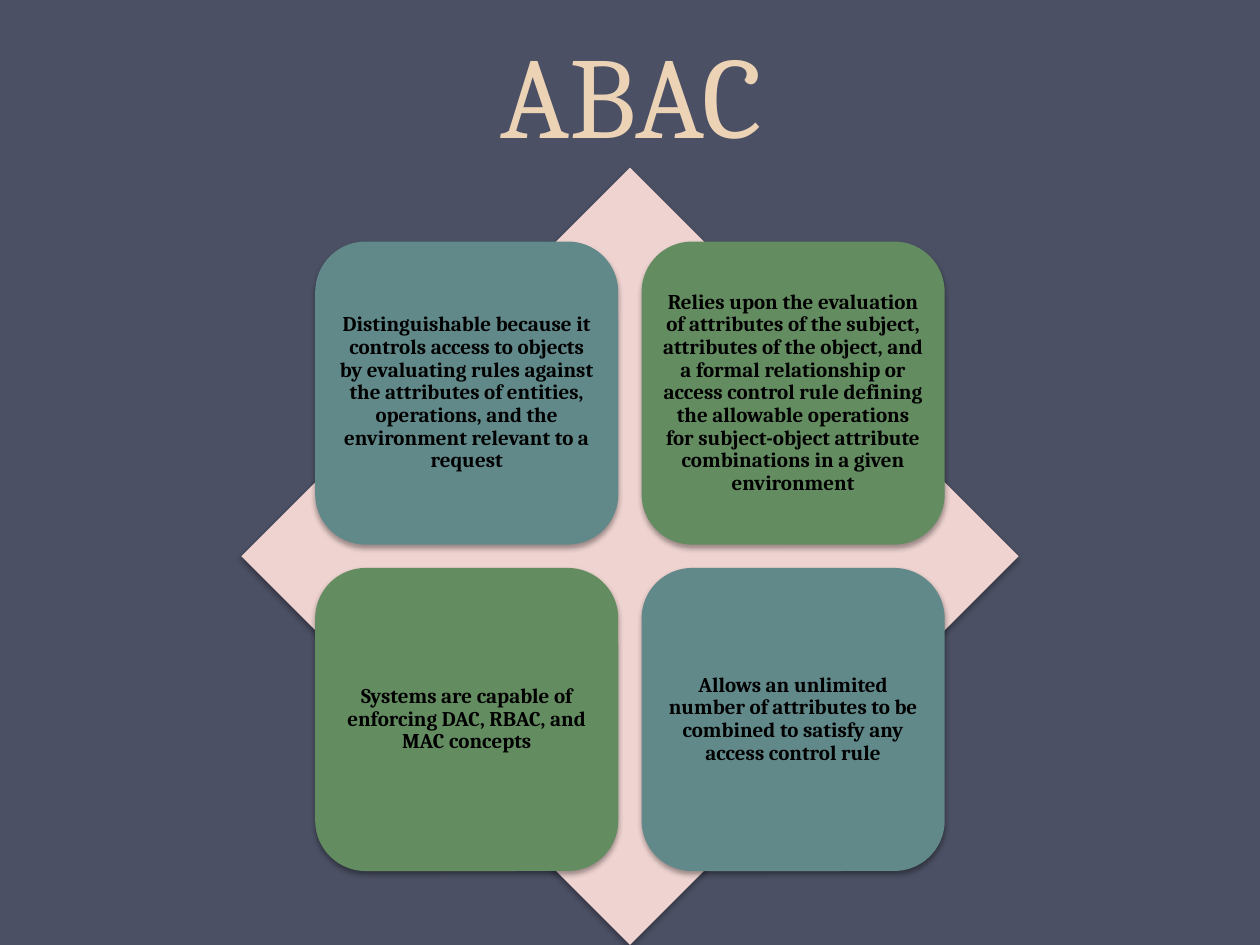
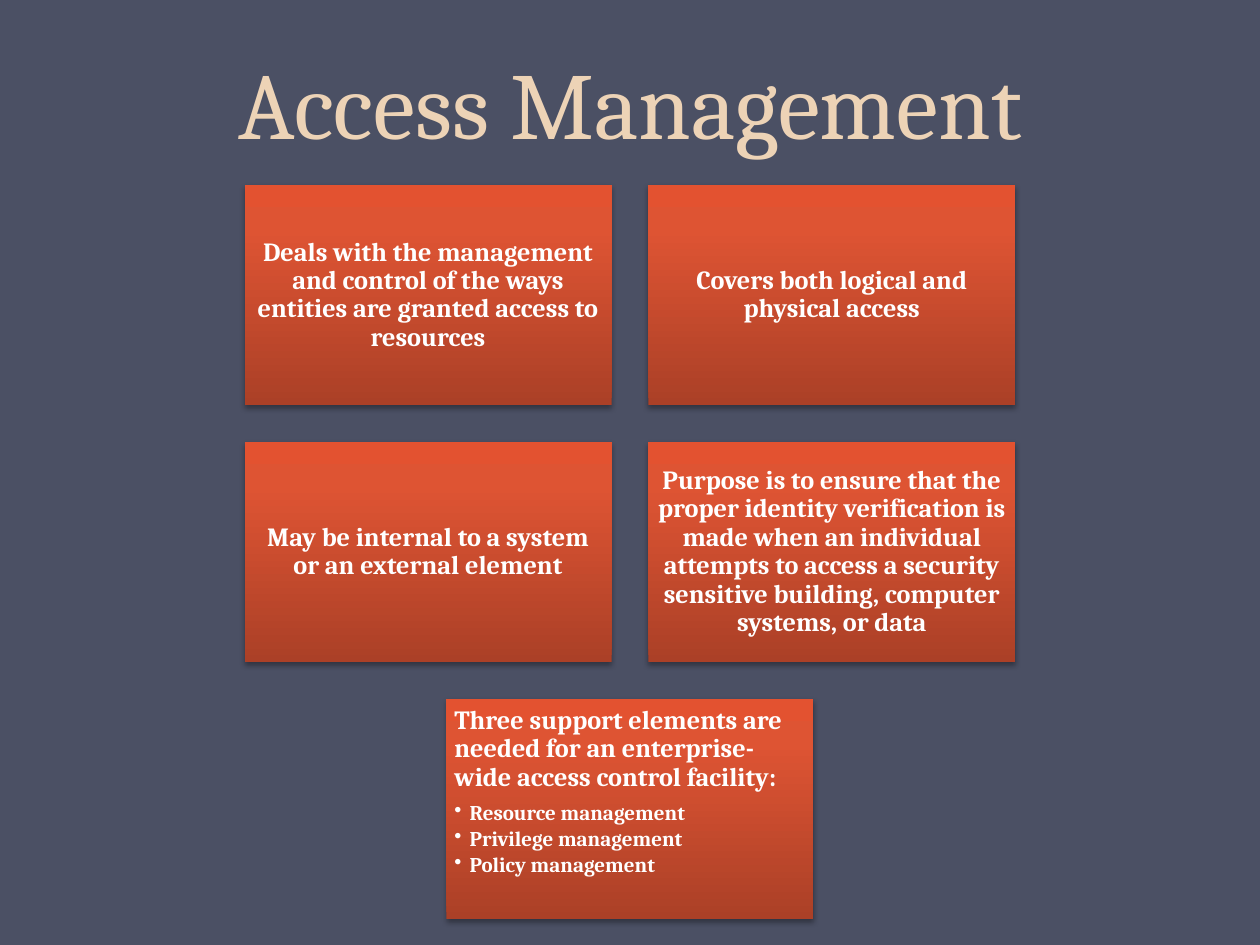
from copy import deepcopy

from lxml.etree import SubElement
from pptx import Presentation
from pptx.dml.color import RGBColor
from pptx.enum.shapes import MSO_SHAPE
from pptx.enum.text import MSO_ANCHOR, MSO_AUTO_SIZE, PP_ALIGN
from pptx.oxml.ns import qn
from pptx.util import Cm, Pt

FONT = "Cambria"
BACKGROUND, TITLE_COLOUR = "4B5064", "EDD3B6"
TEAL, GREEN, PINK = "61898A", "648C61", "EED3D0"
BLACK, WHITE = "000000", "FFFFFF"
RED_STOPS = [(0, "AB4027"), (0.8, "DE5433"), (1, "E35230")]
CENTRE = 12.7

ABAC_ROWS = [
    [("Distinguishable because it controls access to objects by evaluating rules against "
      "the attributes of entities, operations, and the environment relevant to a request", TEAL),
     ("Relies upon the evaluation of attributes of the subject, attributes of the object, and "
      "a formal relationship or access control rule defining the allowable operations for "
      "subject-object attribute combinations in a given environment", GREEN)],
    [("Systems are capable of enforcing DAC, RBAC, and MAC concepts", GREEN),
     ("Allows an unlimited number of attributes to be combined to satisfy any access "
      "control rule", TEAL)],
]

# Each box: heading, bullets
MANAGEMENT_ROWS = [
    [("Deals with the management and control of the ways entities are granted access to "
      "resources", []),
     ("Covers both logical and physical access", [])],
    [("May be internal to a system or an external element", []),
     ("Purpose is to ensure that the proper identity verification is made when an individual "
      "attempts to access a security sensitive building, computer systems, or data", [])],
    [("Three support elements are needed for an enterprise-wide access control facility:",
      ["Resource management", "Privilege management", "Policy management"])],
]


def rgb(colour):
    return RGBColor.from_string(colour)


def style_text(p, size, colour, bold=True):
    for r in p.runs:
        r.font.name, r.font.size, r.font.bold = FONT, Pt(size), bold
        r.font.color.rgb = rgb(colour)


def add_titled_slide(prs, title, size, left, top, height):
    s = prs.slides.add_slide(prs.slide_layouts[5])
    sp = s.shapes.title
    sp.left, sp.top, sp.width, sp.height = Cm(left), Cm(top), Cm(22.86), Cm(height)
    tf = sp.text_frame
    tf.text = title
    tf.auto_size = MSO_AUTO_SIZE.NONE
    tf.vertical_anchor = MSO_ANCHOR.BOTTOM
    p = tf.paragraphs[0]
    p.alignment, p.line_spacing = PP_ALIGN.CENTER, Pt(58)
    style_text(p, size, TITLE_COLOUR, bold=False)
    return s


def add_shadow(sp):
    sp.shadow.inherit = False
    effects = sp._element.spPr.find(qn("a:effectLst"))
    shadow = SubElement(effects, qn("a:outerShdw"), blurRad=str(Pt(3.1)), dist=str(Pt(1.8)),
                        dir="5400000", algn="ctr", rotWithShape="0")
    colour = SubElement(shadow, qn("a:srgbClr"), val=BLACK)
    SubElement(colour, qn("a:alpha"), val="35000")


def fill_gradient(sp, stops):
    sp.fill.gradient()
    sp.fill.gradient_angle = 90
    stop_list = sp._element.spPr.find(qn("a:gradFill")).find(qn("a:gsLst"))
    while len(stop_list) < len(stops):
        stop_list.append(deepcopy(stop_list[0]))
    for stop, (position, colour) in zip(sp.fill.gradient_stops, stops):
        stop.position = position
        stop.color.rgb = rgb(colour)


def add_box(s, preset, left, top, width, height, fill):
    """Add a shadowed shape; fill is a colour or a list of gradient stops."""
    sp = s.shapes.add_shape(preset, Cm(left), Cm(top), Cm(width), Cm(height))
    sp.line.fill.background()
    if isinstance(fill, str):
        sp.fill.solid()
        sp.fill.fore_color.rgb = rgb(fill)
    else:
        fill_gradient(sp, fill)
    add_shadow(sp)
    return sp


def write_box(sp, text, size, colour, margin):
    tf = sp.text_frame
    tf.text = text
    tf.word_wrap = True
    tf.vertical_anchor = MSO_ANCHOR.MIDDLE
    tf.margin_left = tf.margin_top = tf.margin_right = tf.margin_bottom = Cm(margin)
    p = tf.paragraphs[0]
    p.alignment, p.line_spacing = PP_ALIGN.CENTER, 0.9
    style_text(p, size, colour)


def add_bullets(sp, bullets, size, colour):
    """Turn a box into a left-aligned heading with bullets below it."""
    tf = sp.text_frame
    tf.vertical_anchor = MSO_ANCHOR.TOP
    heading = tf.paragraphs[0]
    heading.alignment, heading.space_after = PP_ALIGN.LEFT, Pt(6)
    for bullet in bullets:
        p = tf.add_paragraph()
        p.text = bullet
        p.level, p.alignment = 1, PP_ALIGN.LEFT
        p.line_spacing, p.space_after = 0.9, Pt(1.8)
        properties = p._p.get_or_add_pPr()
        properties.set("marL", str(Cm(0.31)))
        properties.set("indent", str(-Cm(0.31)))
        SubElement(properties, qn("a:buChar"), char="•")
        style_text(p, size, colour)


def place_rows(rows, top, width, height, gap):
    """Yield each item with its left and top, every row centred on the slide."""
    for i, row in enumerate(rows):
        row_width = len(row) * (width + gap) - gap
        for j, item in enumerate(row):
            yield item, CENTRE - row_width / 2 + j * (width + gap), top + i * (height + gap)


def build_abac(prs):
    s = add_titled_slide(prs, "ABAC", 66, 1.3, -0.48, 3.86)
    diamond, tile = 15.67, 6.11
    add_box(s, MSO_SHAPE.DIAMOND, CENTRE - diamond / 2, 3.38, diamond, diamond, PINK)
    for (text, fill), left, top in place_rows(ABAC_ROWS, 4.87, tile, tile, 0.47):
        sp = add_box(s, MSO_SHAPE.ROUNDED_RECTANGLE, left, top, tile, tile, fill)
        write_box(sp, text, 12, BLACK, 0.13)


def build_access_management(prs):
    s = add_titled_slide(prs, "Access Management", 54, 1.27, 0, 3.33)
    width, height = 7.4, 4.44
    for (text, bullets), left, top in place_rows(MANAGEMENT_ROWS, 3.73, width, height, 0.74):
        sp = add_box(s, MSO_SHAPE.RECTANGLE, left, top, width, height, RED_STOPS)
        write_box(sp, text, 15, WHITE, 0.16)
        if bullets:
            add_bullets(sp, bullets, 12, WHITE)


def main():
    prs = Presentation()
    prs.slide_width, prs.slide_height = Cm(25.4), Cm(19.05)
    background = prs.slide_master.background.fill
    background.solid()
    background.fore_color.rgb = rgb(BACKGROUND)
    build_abac(prs)
    build_access_management(prs)
    prs.save("out.pptx")


if __name__ == "__main__":
    main()
